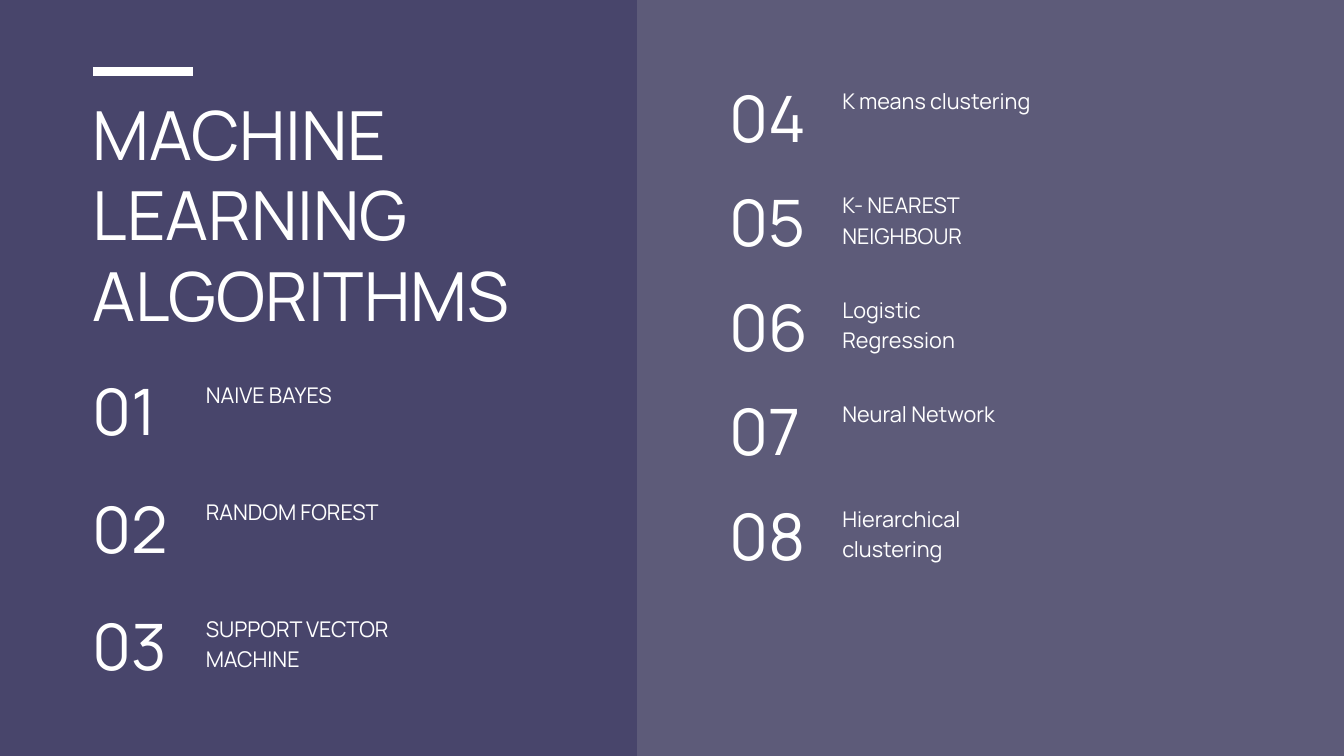
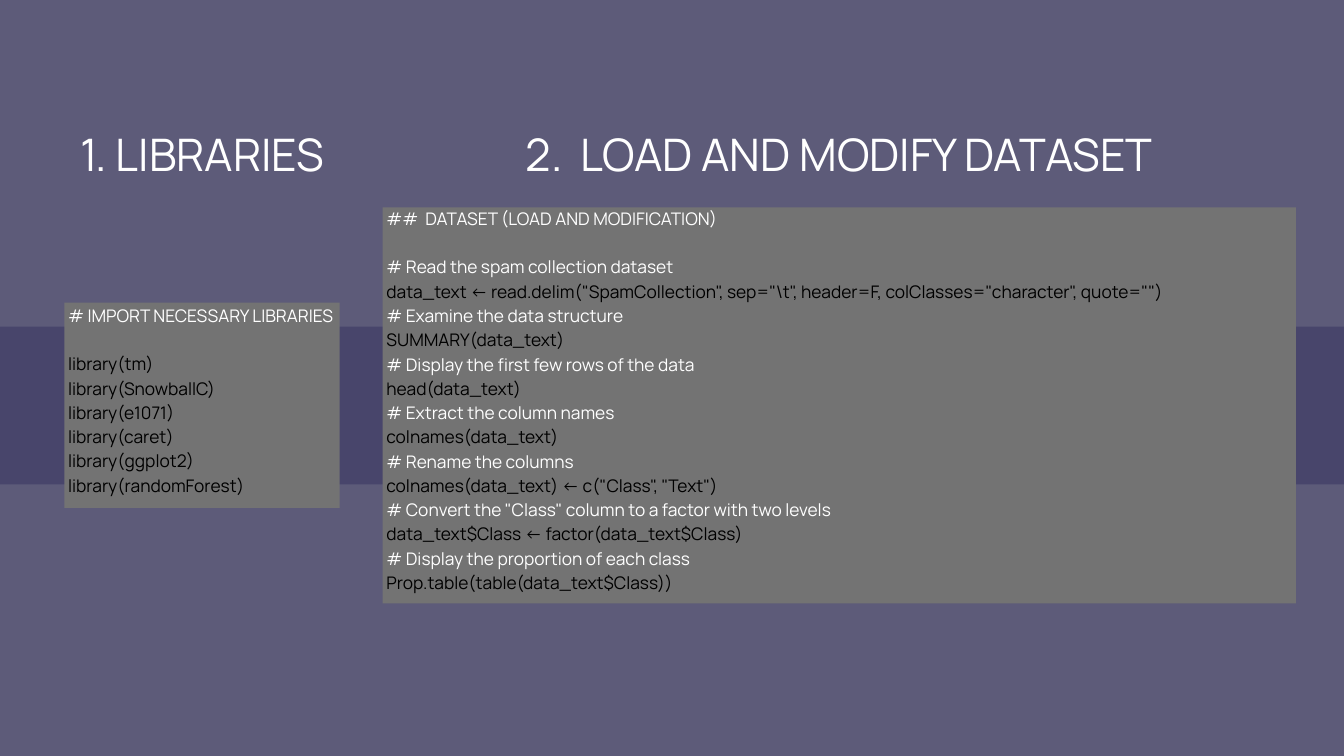
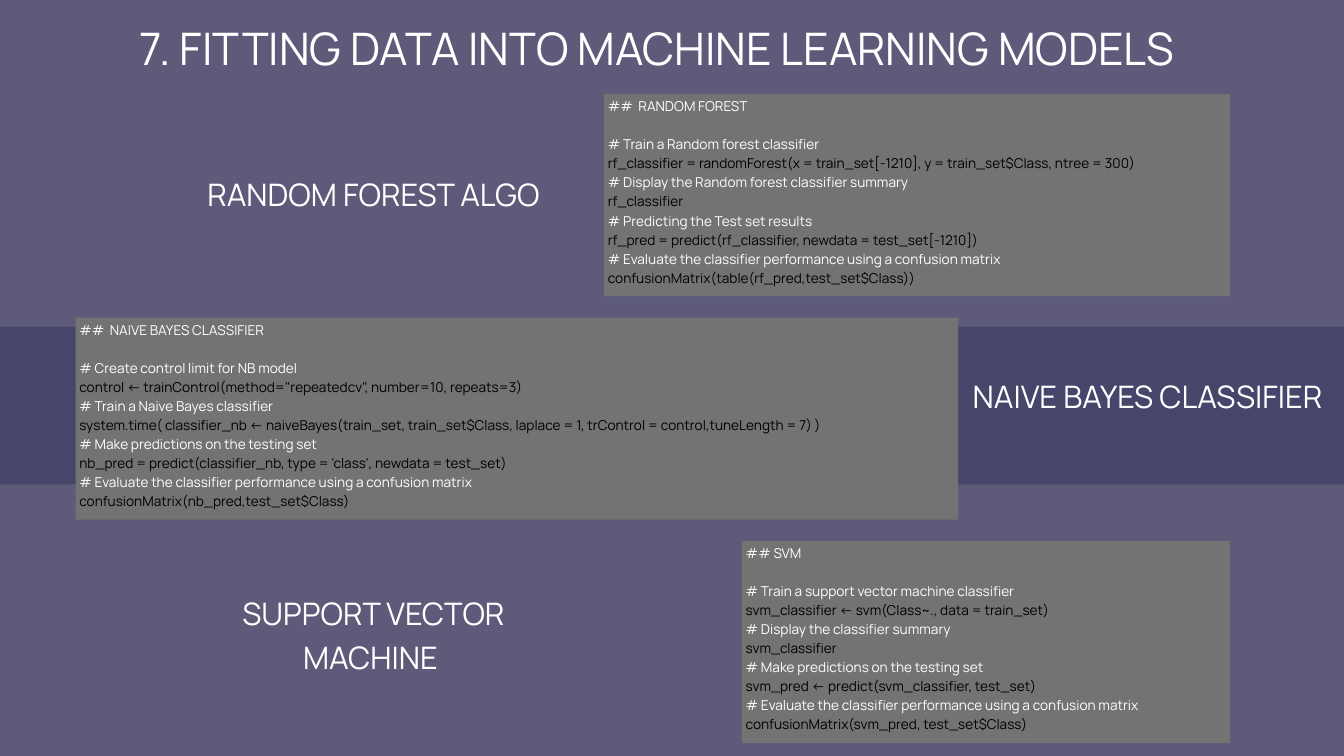
from lxml import etree
from pptx import Presentation
from pptx.dml.color import RGBColor
from pptx.enum.shapes import MSO_CONNECTOR, MSO_SHAPE
from pptx.enum.text import MSO_ANCHOR, PP_ALIGN
from pptx.oxml.ns import qn
from pptx.util import Pt

RECTANGLE = MSO_SHAPE.RECTANGLE
STRAIGHT = MSO_CONNECTOR.STRAIGHT
TOP, MIDDLE = MSO_ANCHOR.TOP, MSO_ANCHOR.MIDDLE
LEFT, CENTER, JUSTIFY = PP_ALIGN.LEFT, PP_ALIGN.CENTER, PP_ALIGN.JUSTIFY

PAGE_WIDTH, PAGE_HEIGHT = 1440, 810
FONT = "Manrope"
BACKGROUND, ACCENT, PANEL = "5D5B79", "48456B", "737373"
WHITE, BLACK = "FFFFFF", "000000"

COVER_STYLE = (72.5, 86.3)
NUMBER_STYLE = (68.6, 96)
LABEL_STYLE = (23.2, 32.5)
HEADING_STYLE = (48, 67.2)
SUBHEADING_STYLE = (33.2, 46.5)
LARGE_CODE = (18.6, 26, 14.4)
SMALL_CODE = (14.6, 20.4, 9.5)

LIBRARY_CODE = [
    "# IMPORT NECESSARY LIBRARIES",
    "library(tm)",
    "library(SnowballC)",
    "library(e1071)",
    "library(caret)",
    "library(ggplot2)",
    "library(randomForest)",
]
DATASET_CODE = [
    "##  DATASET (LOAD AND MODIFICATION)",
    "# Read the spam collection dataset",
    'data_text <- read.delim("SpamCollection", sep="\\t", header=F, colClasses="character", quote="")',
    "# Examine the data structure",
    "SUMMARY(data_text)",
    "# Display the first few rows of the data",
    "head(data_text)",
    "# Extract the column names",
    "colnames(data_text)",
    "# Rename the columns",
    'colnames(data_text) <- c("Class", "Text")',
    '# Convert the "Class" column to a factor with two levels',
    "data_text$Class <- factor(data_text$Class)",
    "# Display the proportion of each class",
    "Prop.table(table(data_text$Class))",
]
EVALUATE = "# Evaluate the classifier performance using a confusion matrix"
FOREST_CODE = [
    "##  RANDOM FOREST",
    "# Train a Random forest classifier",
    "rf_classifier = randomForest(x = train_set[-1210], y = train_set$Class, ntree = 300)",
    "# Display the Random forest classifier summary",
    "rf_classifier",
    "# Predicting the Test set results",
    "rf_pred = predict(rf_classifier, newdata = test_set[-1210])",
    EVALUATE,
    "confusionMatrix(table(rf_pred,test_set$Class))",
]
BAYES_CODE = [
    "##  NAIVE BAYES CLASSIFIER ",
    "# Create control limit for NB model",
    'control <- trainControl(method="repeatedcv", number=10, repeats=3)',
    "# Train a Naive Bayes classifier",
    "system.time( classifier_nb <- naiveBayes(train_set, train_set$Class, laplace = 1, "
    "trControl = control,tuneLength = 7) )",
    "# Make predictions on the testing set",
    "nb_pred = predict(classifier_nb, type = 'class', newdata = test_set)",
    EVALUATE,
    "confusionMatrix(nb_pred,test_set$Class)",
]
SVM_CODE = [
    "## SVM",
    "# Train a support vector machine classifier",
    "svm_classifier <- svm(Class~., data = train_set)",
    "# Display the classifier summary",
    "svm_classifier",
    "# Make predictions on the testing set",
    "svm_pred <- predict(svm_classifier, test_set)",
    EVALUATE,
    "confusionMatrix(svm_pred, test_set$Class)",
]


def color(value):
    return RGBColor.from_string(value)


class Deck:
    def __init__(self):
        self.deck = Presentation()
        self.deck.slide_width = Pt(PAGE_WIDTH)
        self.deck.slide_height = Pt(PAGE_HEIGHT)
        self.page = None

    def new_page(self):
        self.page = self.deck.slides.add_slide(self.deck.slide_layouts[6])
        fill = self.page.background.fill
        fill.solid()
        fill.fore_color.rgb = color(BACKGROUND)

    def block(self, left, top, width, height, fill):
        shape = self.page.shapes.add_shape(RECTANGLE, Pt(left), Pt(top), Pt(width), Pt(height))
        shape.shadow.inherit = False
        shape.fill.solid()
        shape.fill.fore_color.rgb = color(fill)
        shape.line.fill.background()

    def band(self):
        self.block(0, 350, PAGE_WIDTH, 169, ACCENT)

    def rule(self, left, right, y, weight):
        line = self.page.shapes.add_connector(STRAIGHT, Pt(left), Pt(y), Pt(right), Pt(y))
        line.line.color.rgb = color(WHITE)
        line.line.width = Pt(weight)
        etree.SubElement(line._element.spPr, qn("a:effectLst"))

    def frame(self, left, top, width, height, inset=0, anchor=TOP):
        box = self.page.shapes.add_textbox(Pt(left), Pt(top), Pt(width), Pt(height))
        frame = box.text_frame
        frame.word_wrap = True
        frame.vertical_anchor = anchor
        frame.margin_left = frame.margin_right = Pt(inset)
        frame.margin_top = frame.margin_bottom = Pt(inset)
        return frame

    def format(self, para, size, spacing, align, fill=WHITE):
        para.alignment = align
        para.line_spacing = Pt(spacing)
        for span in para.runs:
            span.font.name = FONT
            span.font.size = Pt(size)
            span.font.color.rgb = color(fill)

    def text(self, words, left, top, width, height, style, align=LEFT):
        frame = self.frame(left, top, width, height)
        frame.text = words
        self.format(frame.paragraphs[0], *style, align)

    def numbered(self, number, label, left, top):
        self.text(f"{number:02}", left, top, 92, 93, NUMBER_STYLE)
        self.text(label, left + 121, top + 19.3, 209.5, 63.4, LABEL_STYLE)

    def code(self, lines, left, top, width, height, style):
        size, spacing, lift = style
        self.block(left, top, width, height, PANEL)
        frame = self.frame(left, top - lift, width, height + lift, 4, MIDDLE)
        frame.text = "\n".join(lines)
        for para in frame.paragraphs:
            fill = WHITE if para.text.startswith("#") else BLACK
            self.format(para, size, spacing, JUSTIFY, fill)
        frame.paragraphs[0].space_after = Pt(spacing)


def algorithms_page(deck):
    deck.new_page()
    deck.block(0, 0, 682.5, PAGE_HEIGHT, ACCENT)
    deck.rule(99.5, 206.8, 76.5, 9)
    deck.text("MACHINE LEARNING ALGORITHMS", 99.5, 100, 526, 264, COVER_STYLE)
    columns = [
        (99.5, 384.7, 125.6, ["NAIVE BAYES", "RANDOM FOREST", "SUPPORT VECTOR MACHINE"]),
        (781.5, 70, 112, ["K means clustering", "K- NEAREST NEIGHBOUR", "Logistic Regression",
                          "Neural Network", "Hierarchical clustering"]),
    ]
    number = 1
    for left, top, pitch, labels in columns:
        for row, label in enumerate(labels):
            deck.numbered(number, label, left, top + row * pitch)
            number += 1


def dataset_page(deck):
    deck.new_page()
    deck.band()
    deck.code(LIBRARY_CODE, 69, 324.3, 295, 220, LARGE_CODE)
    deck.code(DATASET_CODE, 410, 222.3, 978.5, 424.3, LARGE_CODE)
    deck.text("1. LIBRARIES ", 80.8, 126, 281, 68.4, HEADING_STYLE, CENTER)
    deck.text("2.  LOAD AND MODIFY DATASET", 519, 126, 761, 68.4, HEADING_STYLE, CENTER)


def models_page(deck):
    deck.new_page()
    deck.band()
    deck.text("7. FITTING DATA INTO MACHINE LEARNING MODELS  ", 111, 13, 1206, 68.4,
              HEADING_STYLE, CENTER)
    models = [
        (FOREST_CODE, 647.3, 670.4, "RANDOM FOREST ALGO", 202.3, 181.4),
        (BAYES_CODE, 81, 945.5, "NAIVE BAYES CLASSIFIER", 1031.8, 398.2),
        (SVM_CODE, 795, 522.7, "SUPPORT VECTOR MACHINE ", 202.3, 630.7),
    ]
    for row, (lines, left, width, name, name_left, name_top) in enumerate(models):
        deck.code(lines, left, 100.8 + row * 239.4, width, 216.6, SMALL_CODE)
        deck.text(name, name_left, name_top, 396, 93.6, SUBHEADING_STYLE, CENTER)


def main():
    deck = Deck()
    algorithms_page(deck)
    dataset_page(deck)
    models_page(deck)
    deck.deck.save("out.pptx")


if __name__ == "__main__":
    main()
